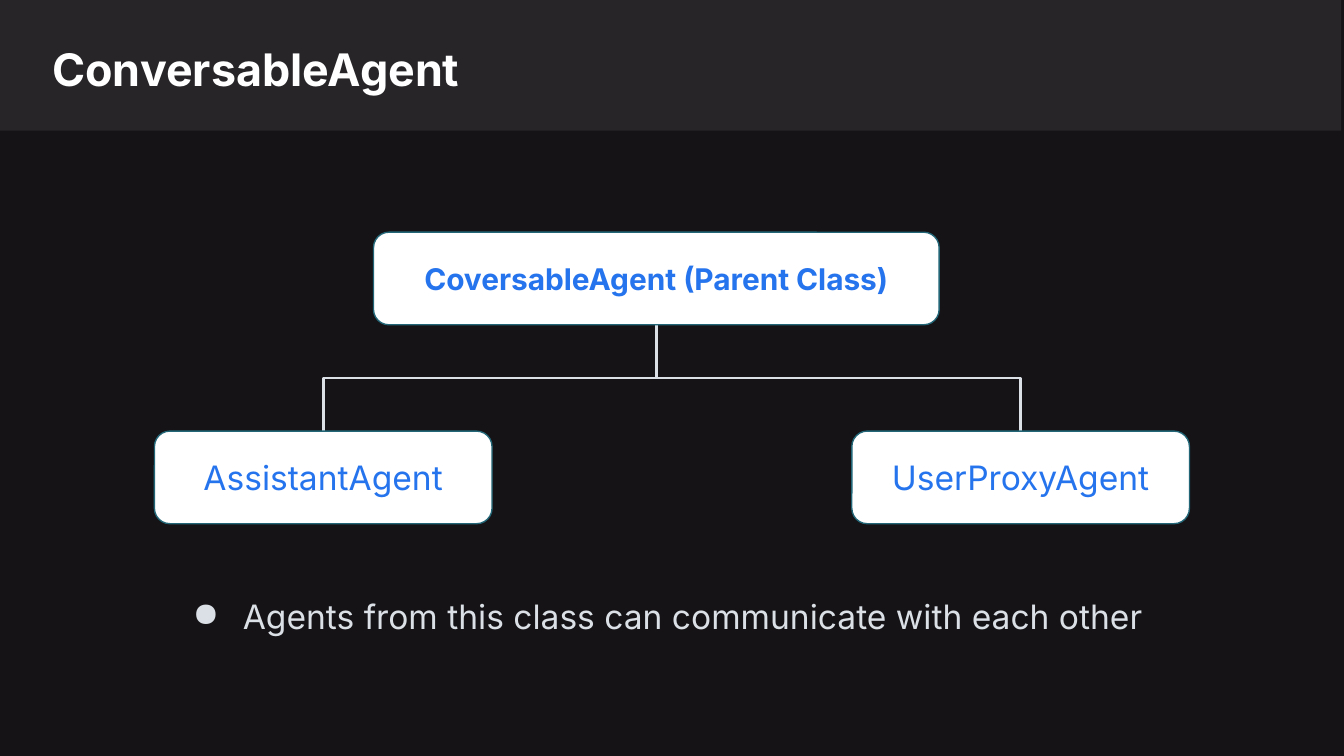
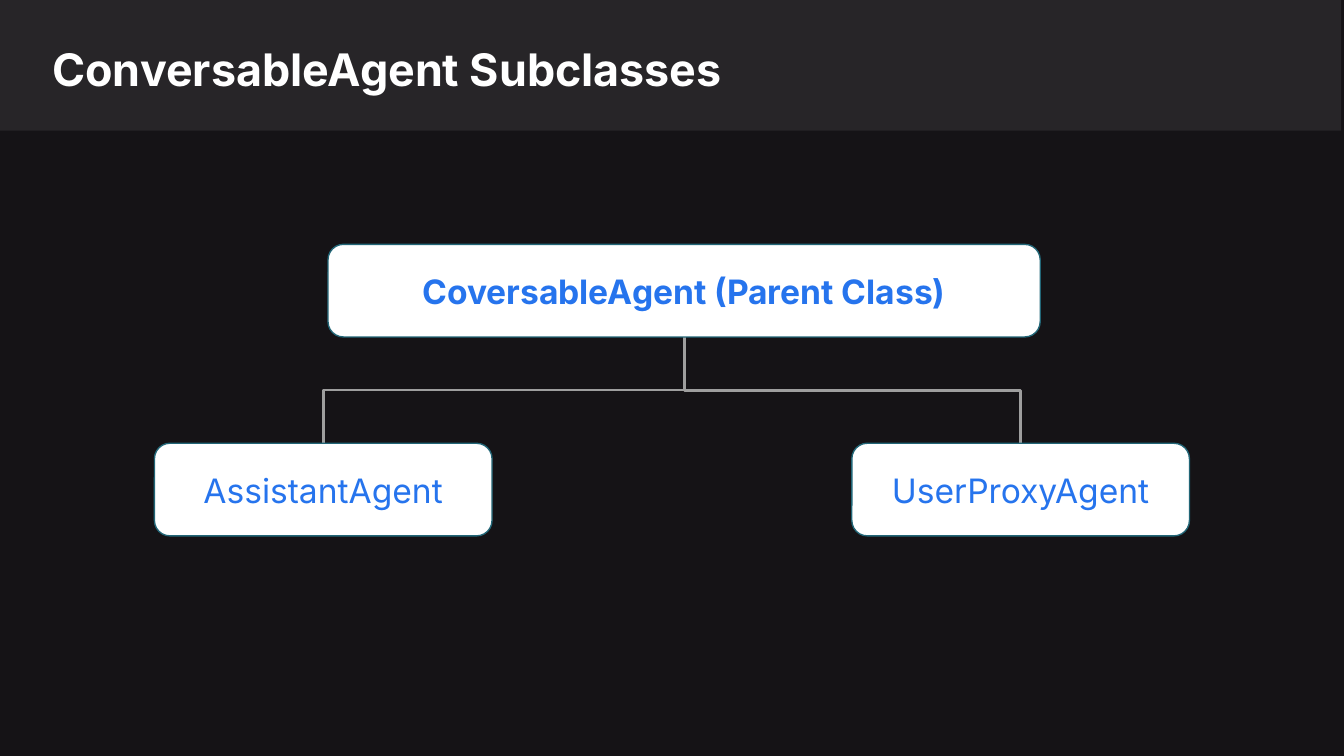
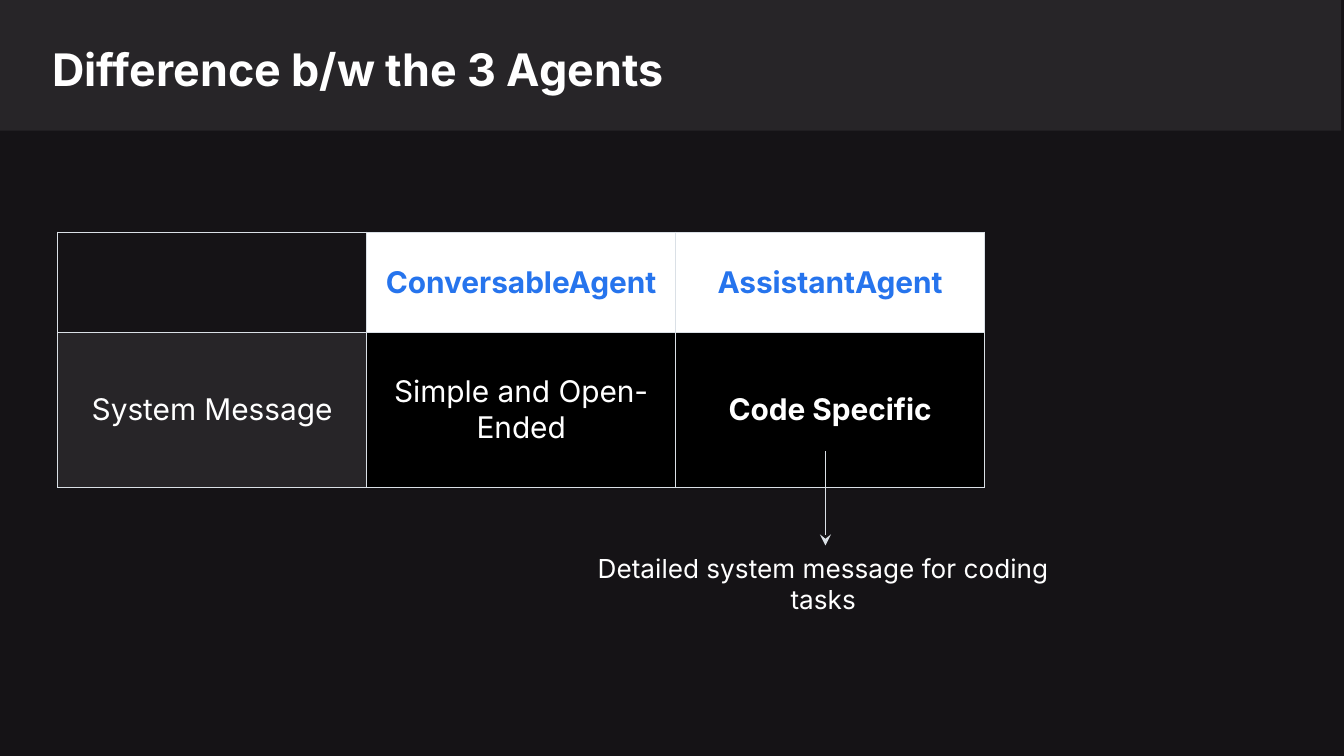
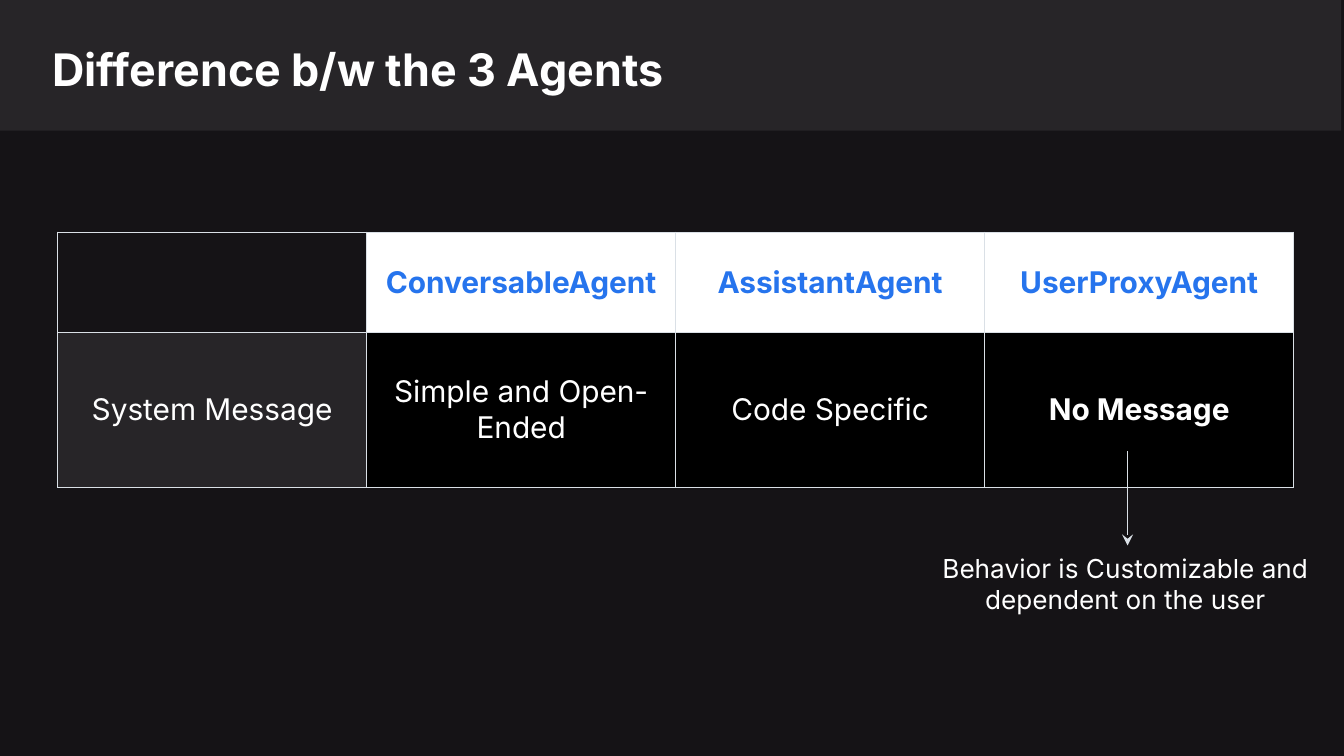
import pptx
import pptx.util
import pptx.dml.color
import pptx.enum.shapes
import pptx.enum.text
import pptx.oxml.ns
import lxml.etree

Cm, Pt = pptx.util.Cm, pptx.util.Pt
SHAPE = pptx.enum.shapes.MSO_SHAPE
CONNECTOR = pptx.enum.shapes.MSO_CONNECTOR
ALIGN = pptx.enum.text.PP_ALIGN
ANCHOR = pptx.enum.text.MSO_ANCHOR

COLORS = {
    "background": "151316", "band": "272528", "white": "FFFFFF",
    "black": "000000", "blue": "2674ED", "teal": "226677",
    "pale": "DAE0E6", "gray": "9E9E9E",
}
FONT = "Inter"
INSET = 0.25

# Class tree and table measures, in centimetres
CARD_HEIGHT, CARD_GAP = 1.75, 3.76
CHILD_WIDTH = 6.38
CHILDREN = {"AssistantAgent": 2.92, "UserProxyAgent": 16.1}
LABEL_INSET = 0.19
COLUMN_WIDTH, ROW_HEIGHTS = 5.84, (1.9, 2.92)


def color(name):
    return pptx.dml.color.RGBColor.from_string(COLORS[name])


def add_xml(parent, tag, **attributes):
    return lxml.etree.SubElement(parent, pptx.oxml.ns.qn(tag), attributes)


def add_xml_color(parent, name):
    add_xml(parent, "a:srgbClr", val=COLORS[name])


class Deck:
    """Holds the style and the current slide."""

    def __init__(self):
        self.deck = pptx.Presentation()
        self.deck.slide_width, self.deck.slide_height = Cm(25.4), Cm(14.29)
        self.page = None

    def add_page(self, title):
        self.page = self.deck.slides.add_slide(self.deck.slide_layouts[6])
        background = self.page.background.fill
        background.solid()
        background.fore_color.rgb = color("background")
        self.add_box(self.page.shapes, SHAPE.RECTANGLE,
                     (0, -0.02, 25.35, 2.49), "band")
        self.add_text(title, (0.74, 0.53, 22.2, 1.47), 24, "white", bold=True)

    def set_text(self, frame, text, size, ink, bold=False, align=ALIGN.LEFT,
                 bullet=False):
        frame.word_wrap = True
        paragraph = frame.paragraphs[0]
        paragraph.text = text
        paragraph.alignment = align
        if bullet:
            properties = paragraph._p.get_or_add_pPr()
            properties.set("marL", str(Cm(1.27)))
            properties.set("indent", str(Cm(-0.95)))
            add_xml_color(add_xml(properties, "a:buClr"), ink)
            add_xml(properties, "a:buChar", char="●")
        font = paragraph.font
        font.name, font.size, font.bold = FONT, Pt(size), bold
        font.color.rgb = color(ink)

    def set_margins(self, target):
        target.margin_left = target.margin_right = Cm(INSET)
        target.margin_top = target.margin_bottom = Cm(INSET)

    def add_text(self, text, place, size, ink, **style):
        box = self.page.shapes.add_textbox(*map(Cm, place))
        self.set_margins(box.text_frame)
        self.set_text(box.text_frame, text, size, ink, **style)

    def add_box(self, shapes, kind, place, fill, line=None, width=0.75):
        box = shapes.add_shape(kind, *map(Cm, place))
        box.shadow.inherit = False
        box.fill.solid()
        box.fill.fore_color.rgb = color(fill)
        if line:
            box.line.color.rgb = color(line)
            box.line.width = Pt(width)
        else:
            box.line.fill.background()
        return box

    def add_card(self, text, left, top, width, size, bold=False):
        group = self.page.shapes.add_group_shape()
        self.add_box(group.shapes, SHAPE.ROUNDED_RECTANGLE,
                     (left, top, width, CARD_HEIGHT), "white", "teal")
        label = self.add_box(
            group.shapes, SHAPE.RECTANGLE,
            (left + width * 0.05, top + LABEL_INSET,
             width * 0.9, CARD_HEIGHT - 2 * LABEL_INSET),
            "white", "white", 1.5)
        self.set_margins(label.text_frame)
        label.text_frame.vertical_anchor = ANCHOR.MIDDLE
        self.set_text(label.text_frame, text, size, "blue", bold, ALIGN.CENTER)

    def add_line(self, kind, start, end, ink, width):
        line = self.page.shapes.add_connector(kind, *map(Cm, start + end))
        line.line.color.rgb = color(ink)
        line.line.width = Pt(width)
        add_xml(line._element.spPr, "a:effectLst")
        return line

    def add_branch(self, start, end, ink):
        """Elbow that leaves downwards: a sideways one, turned a quarter."""
        middle_x, middle_y = (start[0] + end[0]) / 2, (start[1] + end[1]) / 2
        side = 1 if end[0] > start[0] else -1
        reach, drop = abs(end[0] - start[0]) / 2, (end[1] - start[1]) / 2
        line = self.add_line(CONNECTOR.ELBOW,
                             (middle_x + side * drop, middle_y - reach),
                             (middle_x - side * drop, middle_y + reach),
                             ink, 1.5)
        angle = 270 if side == 1 else 90
        line._element.spPr.xfrm.set("rot", str(angle * 60000))

    def add_tree(self, left, top, width, size, ink):
        child_top = top + CARD_GAP
        start = (left + width / 2, top + CARD_HEIGHT - LABEL_INSET)
        for child_left in reversed(CHILDREN.values()):
            end = (child_left + CHILD_WIDTH / 2, child_top + LABEL_INSET)
            self.add_branch(start, end, ink)
        self.add_card("CoversableAgent (Parent Class)", left, top, width,
                      size, bold=True)
        for name, child_left in CHILDREN.items():
            self.add_card(name, child_left, child_top, CHILD_WIDTH, 18)

    def add_cell(self, cell, text, fill, ink, bold):
        properties = cell._tc.get_or_add_tcPr()
        for side in "LRTB":
            border = add_xml(properties, f"a:ln{side}", w=str(Pt(0.75)))
            add_xml_color(add_xml(border, "a:solidFill"), "pale")
        if fill:
            cell.fill.solid()
            cell.fill.fore_color.rgb = color(fill)
        else:
            cell.fill.background()
        self.set_margins(cell)
        cell.vertical_anchor = ANCHOR.MIDDLE
        if text:
            self.set_text(cell.text_frame, text, 16, ink, bold, ALIGN.CENTER)

    def add_comparison(self, agents):
        """Table of agents and messages; the last message stands out."""
        count = len(agents) + 1
        table = self.page.shapes.add_table(
            2, count, Cm(1.09), Cm(4.39),
            Cm(COLUMN_WIDTH * count), Cm(sum(ROW_HEIGHTS))).table
        table.first_row = table.horz_banding = False
        for row, height in zip(table.rows, ROW_HEIGHTS):
            row.height = Cm(height)
        columns = [("", "System Message")] + agents
        for index, (agent, message) in enumerate(columns):
            table.columns[index].width = Cm(COLUMN_WIDTH)
            self.add_cell(table.cell(0, index), agent,
                          "white" if index else None, "blue", True)
            self.add_cell(table.cell(1, index), message,
                          "black" if index else "band", "white",
                          index == count - 1)

    def add_remark(self, text, center):
        self.add_text(text, (center - 5.03, 10.19, 9.98, 1.7), 14, "white",
                      align=ALIGN.CENTER)
        arrow = self.add_line(CONNECTOR.STRAIGHT, (center, 8.53),
                              (center, 10.31), "pale", 0.75)
        add_xml(arrow.line._get_or_add_ln(), "a:tailEnd", type="stealth")


def main():
    deck = Deck()

    # Parent class and its subclasses
    deck.add_page("ConversableAgent")
    deck.add_text("Agents from this class can communicate with each other",
                  (3.07, 11.02, 22.2, 1.47), 18, "pale", bullet=True)
    deck.add_tree(7.06, 4.39, 10.69, 16, "pale")

    deck.add_page("ConversableAgent Subclasses")
    deck.add_tree(6.2, 4.62, 13.46, 18, "gray")

    # System messages compared, one more agent on each page
    agents = [("ConversableAgent", "Simple and Open- Ended"),
              ("AssistantAgent", "Code Specific"),
              ("UserProxyAgent", "No Message")]
    remarks = [(2, "Detailed system message for coding tasks", 15.6),
               (3, "Behavior is Customizable and dependent on the user", 21.31)]
    for count, remark, center in remarks:
        deck.add_page("Difference b/w the 3 Agents")
        deck.add_comparison(agents[:count])
        deck.add_remark(remark, center)

    deck.deck.save("out.pptx")


if __name__ == "__main__":
    main()
